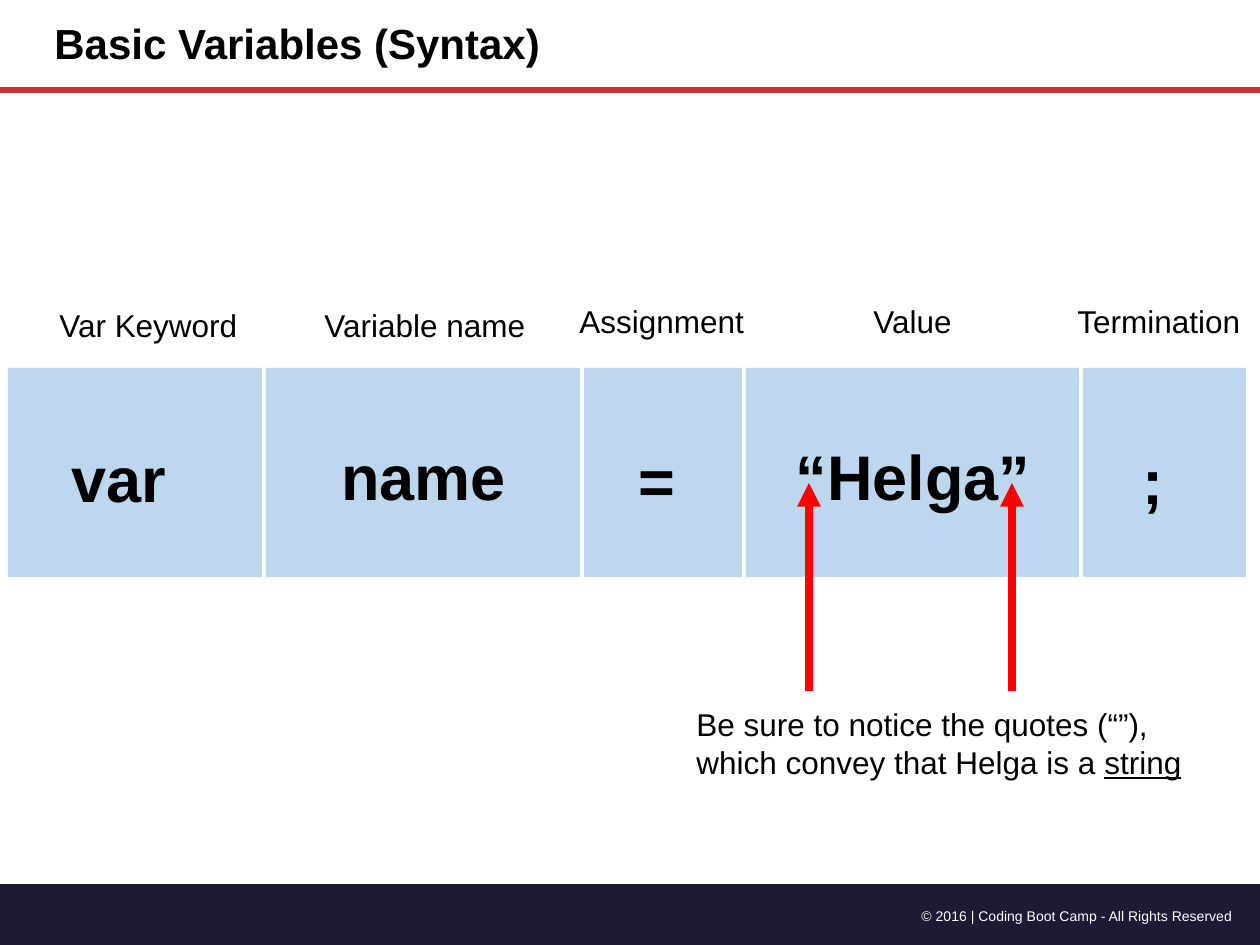
from dataclasses import dataclass

from lxml.etree import SubElement
from pptx import Presentation
from pptx.dml.color import RGBColor
from pptx.enum.shapes import MSO_CONNECTOR as Conn, MSO_SHAPE as Shape
from pptx.enum.text import MSO_ANCHOR as Anchor, PP_ALIGN as Align
from pptx.oxml.ns import qn
from pptx.util import Emu, Pt

SCALE = 914400 / 126
WIDE, HIGH = 1260, 945
FONT = "Arial"
BLACK, WHITE, RED = "000000", "FFFFFF", "FF0000"
RULE, NAVY, BLUE = "C83232", "1D1A36", "BDD7EE"
ROW_X, ROW_Y, ROW_H, GAP = 8, 368, 209, 4


@dataclass
class Text:
    words: str
    x: int
    y: int
    w: int
    h: int
    size: int = 18
    bold: bool = False
    color: str = BLACK
    align: Align = Align.LEFT
    wrap: bool = True


@dataclass
class Part:
    """One piece of the statement: its cell, token and label."""
    width: int
    token: Text
    label: Text


def token(words: str, x: int, y: int, w: int, align: Align = Align.LEFT) -> Text:
    return Text(words, x, y, w, 89, 36, True, align=align)


def label(words: str, x: int, y: int, w: int) -> Text:
    return Text(words, x, y, w, 50, wrap=False)


PARTS = [
    Part(254, token("var", 59, 433, 195), label("Var Keyword", 47, 300, 205)),
    Part(314, token("name", 329, 431, 263), label("Variable name", 312, 300, 228)),
    Part(158, token("=", 626, 435, 117), label("Assignment", 567, 296, 192)),
    Part(333, token("“Helga”", 771, 431, 284, Align.CENTER),
         label("Value", 861, 296, 105)),
    Part(163, token(";", 1130, 435, 117), label("Termination", 1065, 296, 190)),
]
TITLE = Text("Basic Variables (Syntax)", 42, 0, 753, 91, 24, True)
NOTE = Text("Be sure to notice the quotes (“”),\nwhich convey that Helga is a ",
            684, 699, 515, 89, wrap=False)
FOOTER = Text("© 2016 | Coding Boot Camp - All Rights Reserved",
              861, 901, 384, 30, 8, color=WHITE, align=Align.RIGHT)


def px(n: int) -> Emu:
    return Emu(round(n * SCALE))


def rgb(code: str) -> RGBColor:
    return RGBColor.from_string(code)


def add_text(slide, text: Text):
    box = slide.shapes.add_textbox(px(text.x), px(text.y), px(text.w), px(text.h))
    frame = box.text_frame
    frame.word_wrap = text.wrap
    frame.text = text.words
    for para in frame.paragraphs:
        para.alignment = text.align
        font = para.font
        font.name, font.size, font.bold = FONT, Pt(text.size), text.bold
        font.color.rgb = rgb(text.color)
    return frame


def add_block(slide, kind: Shape, x: int, y: int, w: int, h: int, color: str) -> None:
    block = slide.shapes.add_shape(kind, px(x), px(y), px(w), px(h))
    block.shadow.inherit = False
    block.fill.solid()
    block.fill.fore_color.rgb = rgb(color)
    block.line.fill.background()


def add_line(slide, x1: int, y1: int, x2: int, y2: int, color: str,
             width: float, arrow: bool = False) -> None:
    line = slide.shapes.add_connector(Conn.STRAIGHT, px(x1), px(y1), px(x2), px(y2))
    line.line.color.rgb = rgb(color)
    line.line.width = Pt(width)
    if arrow:
        SubElement(line.line._get_or_add_ln(), qn("a:tailEnd"), type="triangle")
    SubElement(line._element.spPr, qn("a:effectLst"))


def main() -> None:
    deck = Presentation()
    deck.slide_width, deck.slide_height = px(WIDE), px(HIGH)
    slide = deck.slides.add_slide(deck.slide_layouts[6])

    add_block(slide, Shape.FLOWCHART_PROCESS, 0, 884, WIDE, HIGH - 884, NAVY)
    add_text(slide, FOOTER)
    add_line(slide, 0, 90, WIDE, 90, RULE, 3.25)
    title = add_text(slide, TITLE)
    title.vertical_anchor = Anchor.MIDDLE
    title.paragraphs[0].line_spacing = 0.9

    x = ROW_X
    for part in PARTS:
        add_block(slide, Shape.RECTANGLE, x, ROW_Y, part.width, ROW_H, BLUE)
        x += part.width + GAP
    for part in PARTS:
        add_text(slide, part.token)
        add_text(slide, part.label)

    note = add_text(slide, NOTE)
    last = note.paragraphs[-1].add_run()
    last.text = "string"
    last.font.underline = True
    for quote in (809, 1012):
        add_line(slide, quote, 691, quote, 483, RED, 4.5, arrow=True)

    deck.save("out.pptx")


if __name__ == "__main__":
    main()
